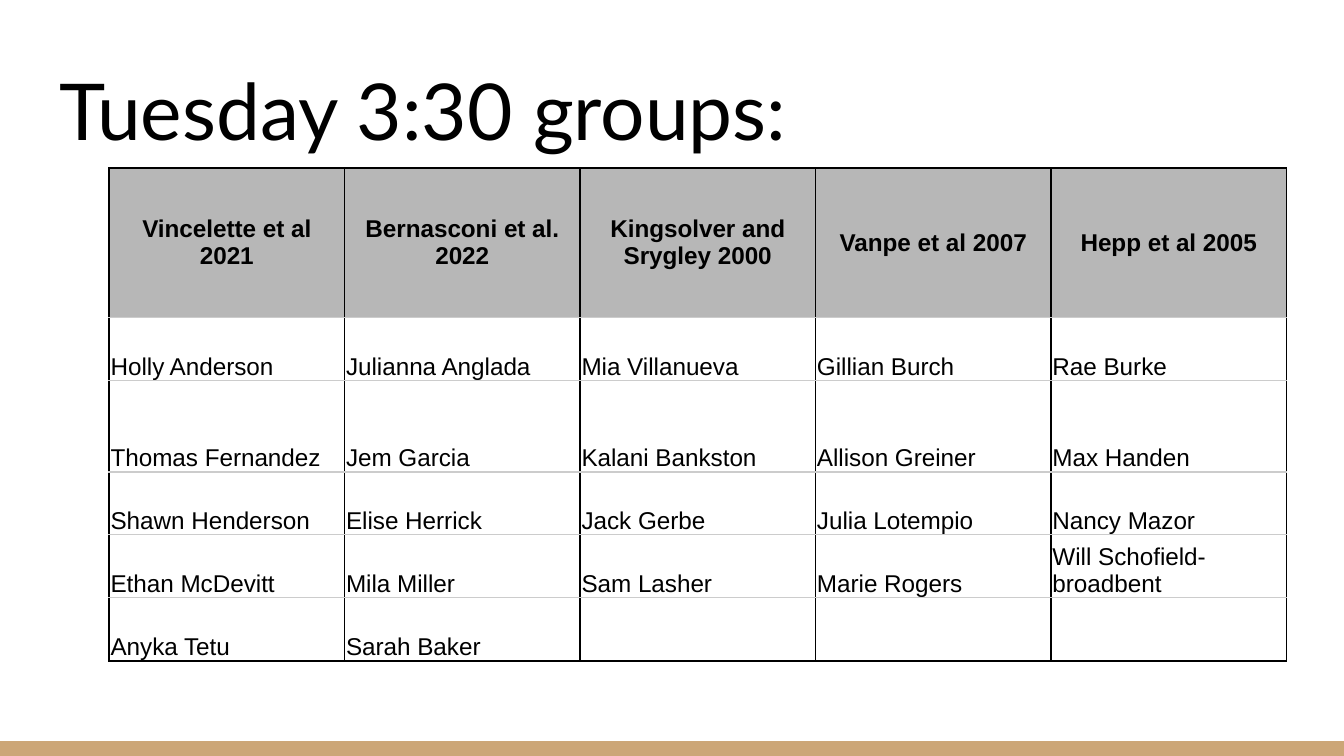
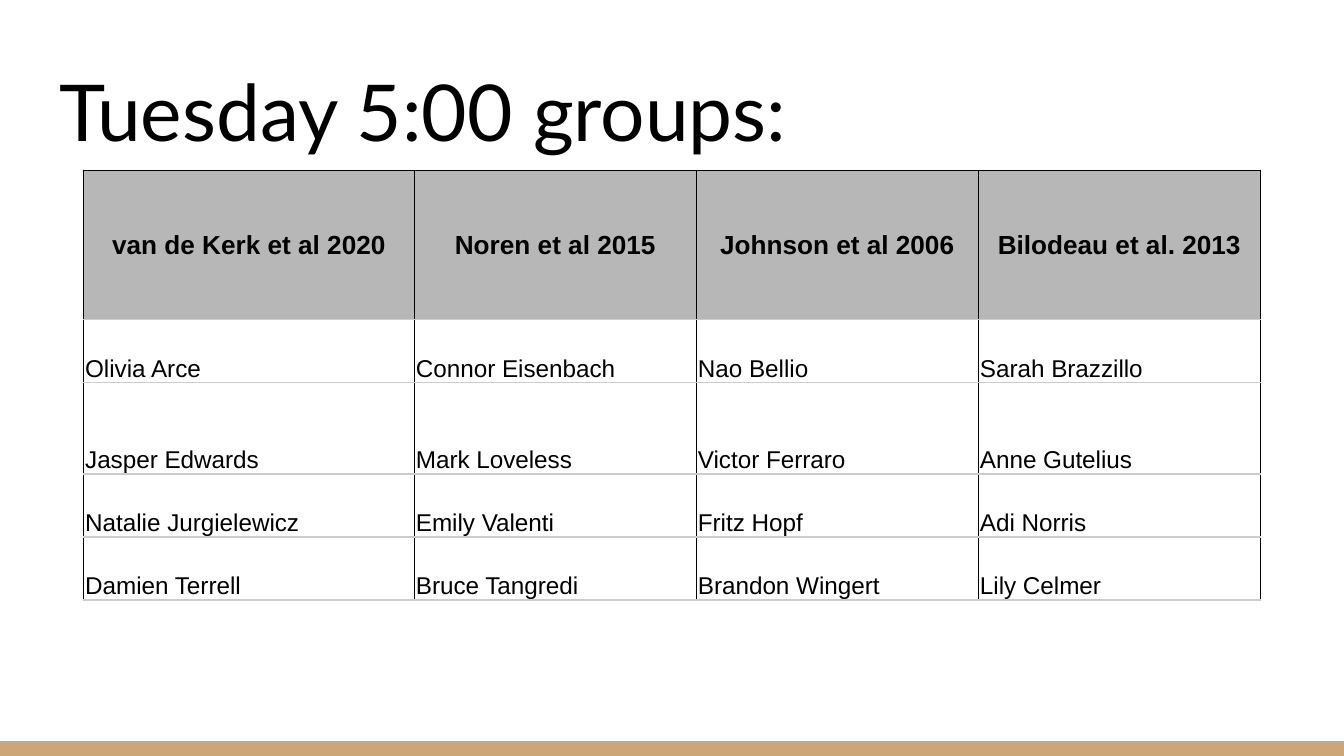
from itertools import zip_longest

from lxml import etree
from pptx import Presentation, util as u
from pptx.dml.color import RGBColor
from pptx.enum import shapes, text
from pptx.oxml import ns

BLACK = RGBColor(0x00, 0x00, 0x00)
WHITE = RGBColor(0xFF, 0xFF, 0xFF)
TAN = RGBColor(0xCC, 0xA6, 0x77)
HEADER_GRAY = RGBColor(0xB7, 0xB7, 0xB7)
RULE_GRAY = RGBColor(0xCC, 0xCC, 0xCC)

SLIDE_WIDTH = u.Cm(25.4)
SLIDE_HEIGHT = u.Cm(14.29)
BAND_HEIGHT = u.Cm(0.28)
HEADER_HEIGHT = 2.82
ROW_HEIGHT = 1.19
TALL_ROW_HEIGHT = 1.73

AFTERNOON_GROUPS = {
    "Vincelette et al 2021": [
        "Holly Anderson", "Thomas Fernandez", "Shawn Henderson", "Ethan McDevitt", "Anyka Tetu"],
    "Bernasconi et al. 2022": [
        "Julianna Anglada", "Jem Garcia", "Elise Herrick", "Mila Miller", "Sarah Baker"],
    "Kingsolver and Srygley 2000": [
        "Mia Villanueva", "Kalani Bankston", "Jack Gerbe", "Sam Lasher"],
    "Vanpe et al 2007": [
        "Gillian Burch", "Allison Greiner", "Julia Lotempio", "Marie Rogers"],
    "Hepp et al 2005": [
        "Rae Burke", "Max Handen", "Nancy Mazor", "Will Schofield-broadbent"],
}

EVENING_GROUPS = {
    "van de Kerk et al 2020": [
        "Olivia Arce", "Jasper Edwards", "Natalie Jurgielewicz", "Damien Terrell"],
    "Noren et al 2015": [
        "Connor Eisenbach", "Mark Loveless", "Emily Valenti", "Bruce Tangredi"],
    "Johnson et al 2006": [
        "Nao Bellio", "Victor Ferraro", "Fritz Hopf", "Brandon Wingert"],
    "Bilodeau et al. 2013": [
        "Sarah Brazzillo", "Anne Gutelius", "Adi Norris", "Lily Celmer"],
}


class GroupDeck:
    title_font = "Lato"
    table_font = "Arial"
    title_size = 42
    member_size = 13

    def __init__(self):
        self.presentation = Presentation()
        self.presentation.slide_width = SLIDE_WIDTH
        self.presentation.slide_height = SLIDE_HEIGHT
        self.slide = None

    def add_slide(self, title, title_top):
        self.slide = self.presentation.slides.add_slide(self.presentation.slide_layouts[6])
        self.slide.background.fill.solid()
        self.slide.background.fill.fore_color.rgb = WHITE
        self.add_band()
        self.add_title(title, title_top)

    def add_band(self):
        band = self.slide.shapes.add_shape(
            shapes.MSO_SHAPE.RECTANGLE, 0, SLIDE_HEIGHT - BAND_HEIGHT, SLIDE_WIDTH, BAND_HEIGHT)
        band.shadow.inherit = False
        band.fill.solid()
        band.fill.fore_color.rgb = TAN
        band.line.fill.background()

    def add_title(self, title, top):
        box = self.slide.shapes.add_textbox(u.Cm(0.87), u.Cm(top), u.Cm(23.67), u.Cm(2.31))
        frame = box.text_frame
        frame.text = title
        frame.word_wrap = True
        frame.vertical_anchor = text.MSO_ANCHOR.BOTTOM
        frame.margin_left = frame.margin_right = u.Cm(0.25)
        frame.margin_top = frame.margin_bottom = u.Cm(0.25)
        self.style_runs(frame.paragraphs[0], self.title_font, self.title_size)

    def add_table(self, groups, left, top, widths, header_size, bottom_color):
        rows = [list(groups), *zip_longest(*groups.values(), fillvalue="")]
        heights = [HEADER_HEIGHT] + [ROW_HEIGHT] * (len(rows) - 1)
        heights[2] = TALL_ROW_HEIGHT
        table = self.slide.shapes.add_table(
            len(rows), len(widths), u.Cm(left), u.Cm(top),
            u.Cm(sum(widths)), u.Cm(sum(heights))).table
        table.first_row = table.horz_banding = False
        for column, width in zip(table.columns, widths):
            column.width = u.Cm(width)
        for index, (row, height, values) in enumerate(zip(table.rows, heights, rows)):
            row.height = u.Cm(height)
            is_header = index == 0
            above = BLACK if is_header else RULE_GRAY
            below = bottom_color if index == len(rows) - 1 else RULE_GRAY
            for cell, value in zip(row.cells, values):
                cell.text_frame.text = value
                self.add_borders(cell, above, below)
                if is_header:
                    self.style_header(cell, header_size)
                else:
                    self.style_member(cell)

    def style_header(self, cell, size):
        cell.fill.solid()
        cell.fill.fore_color.rgb = HEADER_GRAY
        cell.vertical_anchor = text.MSO_ANCHOR.MIDDLE
        cell.margin_left = cell.margin_right = u.Cm(0.07)
        cell.margin_top = cell.margin_bottom = u.Cm(0.05)
        paragraph = cell.text_frame.paragraphs[0]
        paragraph.alignment = text.PP_ALIGN.CENTER
        self.style_runs(paragraph, self.table_font, size, bold=True)

    def style_member(self, cell):
        cell.fill.background()
        cell.vertical_anchor = text.MSO_ANCHOR.BOTTOM
        cell.margin_left = cell.margin_right = cell.margin_top = u.Cm(0.03)
        cell.margin_bottom = 0
        self.style_runs(cell.text_frame.paragraphs[0], self.table_font, self.member_size)

    def style_runs(self, paragraph, font, size, bold=False):
        for run in paragraph.runs:
            run.font.name = font
            run.font.size = u.Pt(size)
            run.font.bold = bold
            run.font.color.rgb = BLACK

    def add_borders(self, cell, above, below):
        properties = cell._tc.get_or_add_tcPr()
        for side, color in (("L", BLACK), ("R", BLACK), ("T", above), ("B", below)):
            width = u.Pt(1 if color == BLACK else 0.75)
            line = etree.SubElement(properties, ns.qn(f"a:ln{side}"), w=str(width))
            fill = etree.SubElement(line, ns.qn("a:solidFill"))
            etree.SubElement(fill, ns.qn("a:srgbClr"), val=str(color))


def main():
    deck = GroupDeck()
    deck.add_slide("Tuesday 3:30 groups:", 0.89)
    deck.add_table(AFTERNOON_GROUPS, 2.06, 3.18, [4.45] * 5, 13, BLACK)
    deck.add_slide("Tuesday 5:00 groups:", 0.92)
    deck.add_table(EVENING_GROUPS, 1.58, 3.22, [6.25] + [5.33] * 3, 14, RULE_GRAY)
    deck.presentation.save("out.pptx")


if __name__ == "__main__":
    main()
